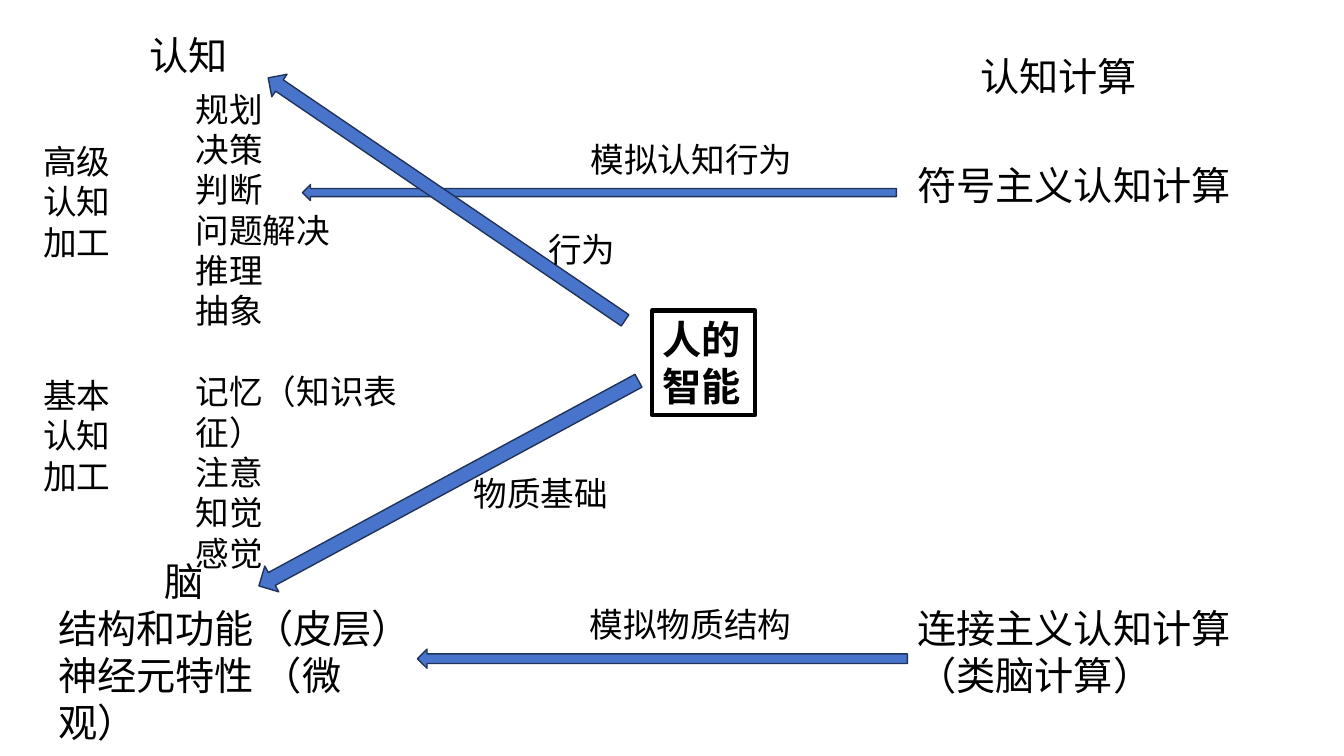
from dataclasses import dataclass

from pptx import Presentation
from pptx.dml.color import RGBColor
from pptx.enum.shapes import MSO_SHAPE as Preset
from pptx.enum.text import MSO_ANCHOR as Anchor, MSO_AUTO_SIZE as AutoSize, PP_ALIGN as Align
from pptx.util import Inches, Pt


@dataclass(frozen=True)
class Theme:
    font: str = "Arial"
    ink: RGBColor = RGBColor(0x00, 0x00, 0x00)
    arrow_fill: RGBColor = RGBColor(0x48, 0x74, 0xCB)
    arrow_line: RGBColor = RGBColor(0x20, 0x33, 0x59)
    heading: Pt = Pt(28)
    label: Pt = Pt(24)


theme = Theme()
heading_indent = Inches(1.05)

deck = Presentation()
deck.slide_width, deck.slide_height = Inches(13.33), Inches(7.5)
slide = deck.slides.add_slide(deck.slide_layouts[1])


def write(holder, text, size, bold=False):
    """Fill a holder with plain, left-aligned text that starts at its top."""
    frame = holder.text_frame
    frame.text = text
    frame.word_wrap = True
    frame.auto_size = AutoSize.SHAPE_TO_FIT_TEXT
    frame.vertical_anchor = Anchor.TOP
    for paragraph in frame.paragraphs:
        paragraph.alignment = Align.LEFT
        paragraph.space_before = Pt(0)
        for run in paragraph.runs:
            run.font.name = theme.font
            run.font.size = size
            run.font.bold = bold
            run.font.color.rgb = theme.ink
    return frame.paragraphs


def place(holder, left, top, width, height):
    holder.left, holder.top = Inches(left), Inches(top)
    holder.width, holder.height = Inches(width), Inches(height)


# Title of the computing side
title = slide.shapes.title
place(title, 9.62, 0.47, 3.04, 0.57)
write(title, "认知计算", theme.heading)

# List of cognitive abilities: higher ones, then basic ones after a gap
higher = ["规划", "决策", "判断", "问题解决", "推理", "抽象"]
basic = ["记忆（知识表征）", "注意", "知觉", "感觉"]
abilities = slide.placeholders[1]
place(abilities, 1.84, 0.83, 2.61, 4.54)
ability_lines = write(abilities, "\n".join(higher + basic), theme.label)
for line in ability_lines:
    properties = line._p.get_or_add_pPr()
    properties.set("marL", "0")
    properties.set("indent", "0")
    properties.insert_element_before(
        properties.makeelement("{http://schemas.openxmlformats.org/drawingml/2006/main}buNone"),
        "a:tabLst", "a:defRPr", "a:extLst")
ability_lines[len(higher)].space_before = Pt(29)

# Human intelligence in the centre
intelligence = slide.shapes.add_shape(
    Preset.RECTANGLE, Inches(6.47), Inches(3.08), Inches(1.02), Inches(1.04))
intelligence.shadow.inherit = False
intelligence.fill.background()
intelligence.line.color.rgb = theme.ink
intelligence.line.width = Pt(3)
write(intelligence, "人的智能", theme.heading, bold=True)

# Arrows: left, top, width, height, rotation
arrows = [
    (4.14, 6.44, 4.86, 0.19, 180),
    (3.0, 1.83, 5.89, 0.16, 180),
    (2.29, 1.84, 4.28, 0.27, 214.2),
    (2.31, 4.65, 4.28, 0.29, 151.6),
]
for *box, rotation in arrows:
    arrow = slide.shapes.add_shape(Preset.RIGHT_ARROW, *map(Inches, box))
    arrow.rotation = rotation
    arrow.shadow.inherit = False
    arrow.fill.solid()
    arrow.fill.fore_color.rgb = theme.arrow_fill
    arrow.line.color.rgb = theme.arrow_line
    arrow.line.width = Pt(1)

# Headings and labels: text, size, box, whether the first line is indented
captions = [
    ("认知", theme.heading, (0.33, 0.26, 3.04, 0.57), True),
    ("脑\n结构和功能（皮层）\n神经元特性 （微观）", theme.heading, (0.48, 5.48, 3.75, 1.51), True),
    ("符号主义认知计算", theme.heading, (9, 1.55, 3.66, 0.57), False),
    ("连接主义认知计算\n（类脑计算）", theme.heading, (9, 5.95, 3.66, 1.04), False),
    ("高级认知加工", theme.label, (0.33, 1.35, 1.02, 1.31), False),
    ("基本认知加工", theme.label, (0.33, 3.67, 1.02, 1.31), False),
    ("模拟认知行为", theme.label, (5.76, 1.33, 2.61, 0.5), False),
    ("物质基础", theme.label, (4.6, 4.64, 1.67, 0.5), False),
    ("模拟物质结构", theme.label, (5.75, 5.94, 2.61, 0.5), False),
    ("行为", theme.label, (5.34, 2.22, 2.61, 0.5), False),
]
for text, size, box, indented in captions:
    caption = slide.shapes.add_textbox(*map(Inches, box))
    caption_lines = write(caption, text, size)
    if indented:
        caption_lines[0]._p.get_or_add_pPr().set("marL", str(heading_indent))

deck.save("out.pptx")
